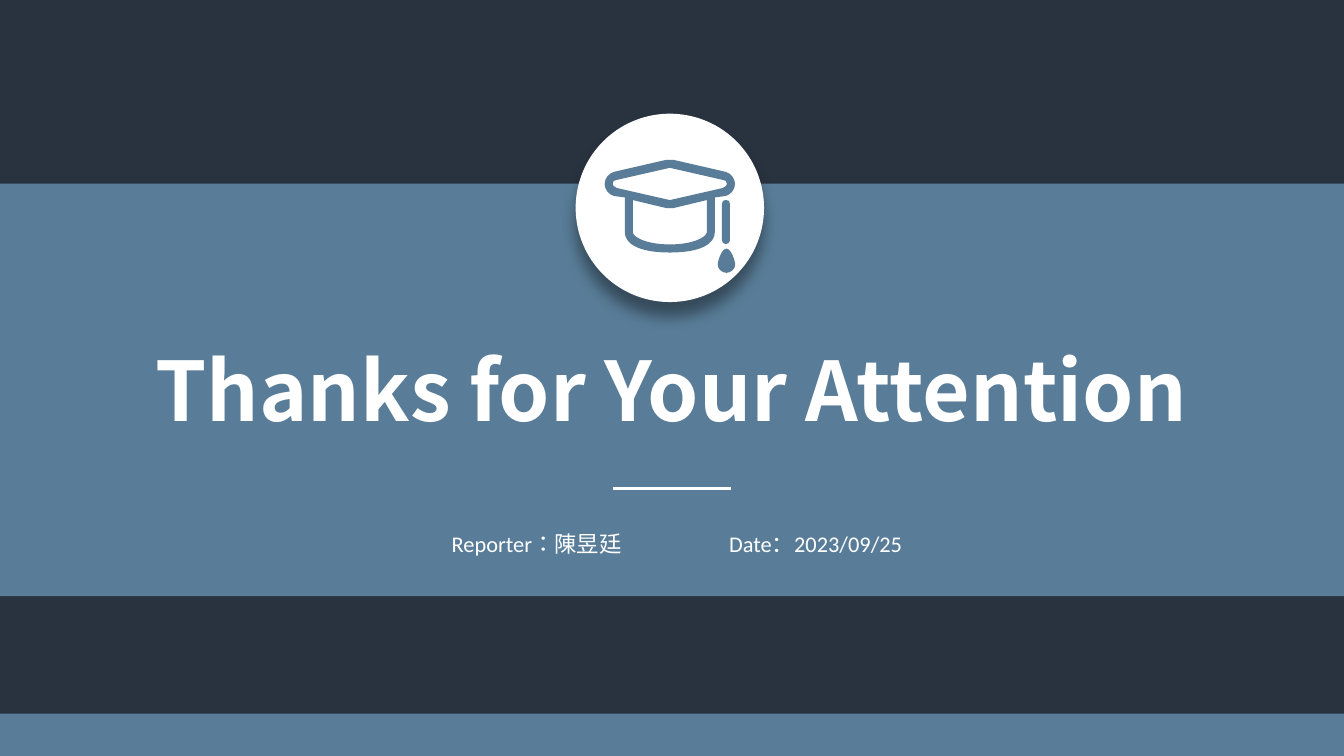
from dataclasses import dataclass

from lxml import etree
from pptx import Presentation
from pptx import util as u
from pptx.dml.color import RGBColor
from pptx.enum import lang, shapes, text
from pptx.oxml import parse_xml
from pptx.oxml.ns import nsdecls, qn


@dataclass(frozen=True)
class Theme:
    night: str = "29323F"
    steel: str = "597D98"
    white: str = "FFFFFF"
    shade: str = "000000"
    title_font: str = "Noto Sans CJK SC"
    body_font: str = "Calibri"
    title_size: int = 44
    body_size: int = 12


HUNDREDTH_INCH = u.Cm(0.0254)

CAP = [
    [(0, 0), (1, 0, 2, 0, 2.5, 0), (41.5, 9), (45.5, 10, 48.5, 14, 48.5, 18),
     (48.5, 22, 45.5, 26, 41.5, 27), (33.5, 28), (33.5, 54), (33.5, 62, 24, 69, 0, 69)],
    [(0, 6), (39.5, 15), (41.5, 15, 42.5, 16, 42.5, 18),
     (42.5, 19, 41.5, 20, 39.5, 21), (0, 30)],
    [(0, 36), (1, 36, 1.5, 36, 2.5, 36), (27.5, 30), (27.5, 54),
     (27.5, 57, 18.5, 63, 0, 63)],
]
CORD = [[(0, 0), (2, 0, 3, 1, 3, 3), (3, 30), (3, 31, 2, 33, 0, 33)]]
TASSEL = [[(0, 0), (3.5, 0, 6.5, 9, 6.5, 12), (6.5, 15, 3.5, 18, 0, 18)]]


def write(frame, words, *, font, size, color, bold=False, language=None):
    frame.text = words
    paragraph = frame.paragraphs[0]
    paragraph.alignment = text.PP_ALIGN.CENTER
    face = paragraph.runs[0].font
    face.name, face.size, face.bold = font, u.Pt(size), bold
    face.color.rgb = RGBColor.from_string(color)
    if language:
        face.language_id = language


def mirrored(half):
    right = [segment[i:i + 2] for segment in half for i in range(0, len(segment), 2)]
    counts = [len(segment) // 2 for segment in half[1:]]
    left = [(-x, y) for x, y in reversed(right[:-1])]
    return right + left, counts + counts[::-1]


def bend(outline, counts):
    corners = outline._element.iter(qn("a:lnTo"))
    corners = iter(list(corners))
    for count in counts:
        first, *others = [next(corners) for _ in range(count)]
        if others:
            curve = etree.Element(qn("a:cubicBezTo"))
            first.addprevious(curve)
            for corner in (first, *others):
                curve.append(corner[0])
                corner.getparent().remove(corner)


class Closing:
    """Draws the parts of a closing slide in one theme."""

    def __init__(self, deck, theme):
        self.theme = theme
        self.slide = deck.slides.add_slide(deck.slide_layouts[5])
        fill = self.slide.background.fill
        fill.solid()
        fill.fore_color.rgb = RGBColor.from_string(theme.night)

    def paint(self, shape, color):
        shape.shadow.inherit = False
        shape.fill.solid()
        shape.fill.fore_color.rgb = RGBColor.from_string(color)
        shape.line.fill.background()

    def block(self, preset, left, top, width, height, color):
        shape = self.slide.shapes.add_shape(
            preset, u.Cm(left), u.Cm(top), u.Cm(width), u.Cm(height))
        self.paint(shape, color)
        return shape

    def badge(self, left, top, size):
        disc = self.block(shapes.MSO_SHAPE.OVAL, left, top, size, size, self.theme.white)
        disc._element.spPr.find(qn("a:effectLst")).append(parse_xml(
            f'<a:outerShdw {nsdecls("a")} blurRad="{u.Pt(8)}" dist="{u.Pt(8)}" '
            f'dir="5400000" algn="t" rotWithShape="0"><a:srgbClr val="{self.theme.shade}">'
            '<a:alpha val="40000"/></a:srgbClr></a:outerShdw>'))

    def icon(self, parts):
        group = self.slide.shapes.add_group_shape()
        for center, top, halves in parts:
            outline, bends = None, []
            for half in halves:
                points, counts = mirrored(half)
                start, *rest = [(u.Cm(center) + x * HUNDREDTH_INCH,
                                 u.Cm(top) + y * HUNDREDTH_INCH) for x, y in points]
                if outline is None:
                    outline = group.shapes.build_freeform(*start, scale=1.0)
                else:
                    outline.move_to(*start)
                outline.add_line_segments(rest, close=True)
                bends += counts
            drawn = outline.convert_to_shape()
            bend(drawn, bends)
            self.paint(drawn, self.theme.steel)

    def title(self, words, left, top, width, height):
        heading = self.slide.shapes.title
        heading.left, heading.top = u.Cm(left), u.Cm(top)
        heading.width, heading.height = u.Cm(width), u.Cm(height)
        frame = heading.text_frame
        write(frame, words, font=self.theme.title_font, size=self.theme.title_size,
              color=self.theme.white, bold=True)
        frame.word_wrap = False
        frame.auto_size = text.MSO_AUTO_SIZE.NONE
        frame.vertical_anchor = text.MSO_ANCHOR.MIDDLE
        self.slide.shapes._spTree.append(heading._element)

    def rule(self, left, right, y):
        stroke = self.slide.shapes.add_connector(
            shapes.MSO_CONNECTOR.STRAIGHT, u.Cm(left), u.Cm(y), u.Cm(right), u.Cm(y))
        stroke.line.color.rgb = RGBColor.from_string(self.theme.white)
        stroke.line.width = u.Pt(1.5)
        etree.SubElement(stroke._element.spPr, qn("a:effectLst"))

    def detail(self, words, left, top, width, height, language=None):
        box = self.slide.shapes.add_textbox(
            u.Cm(left), u.Cm(top), u.Cm(width), u.Cm(height))
        box.text_frame.word_wrap = True
        box.text_frame.auto_size = text.MSO_AUTO_SIZE.SHAPE_TO_FIT_TEXT
        write(box.text_frame, words, font=self.theme.body_font,
              size=self.theme.body_size, color=self.theme.white, language=language)


def main():
    deck = Presentation()
    deck.slide_width, deck.slide_height = u.Cm(25.4), u.Cm(14.29)
    theme = Theme()
    closing = Closing(deck, theme)
    for top, height in ((13.49, 0.8), (3.47, 7.8)):
        closing.block(shapes.MSO_SHAPE.RECTANGLE, 0, top, 25.4, height, theme.steel)
    closing.title("Thanks for Your Attention", 2.21, 6.28, 20.96, 2.13)
    closing.badge(10.88, 2.15, 3.56)
    closing.icon([(12.66, 3.02, CAP), (13.72, 3.78, CORD), (13.73, 4.7, TASSEL)])
    closing.rule(11.58, 13.82, 9.23)
    closing.detail("Reporter：陳昱廷", 7.86, 9.9, 4.57, 0.76,
                   language=lang.MSO_LANGUAGE_ID.TRADITIONAL_CHINESE)
    closing.detail("Date：2023/09/25", 13.13, 9.9, 4.57, 0.76)
    deck.save("out.pptx")


if __name__ == "__main__":
    main()
